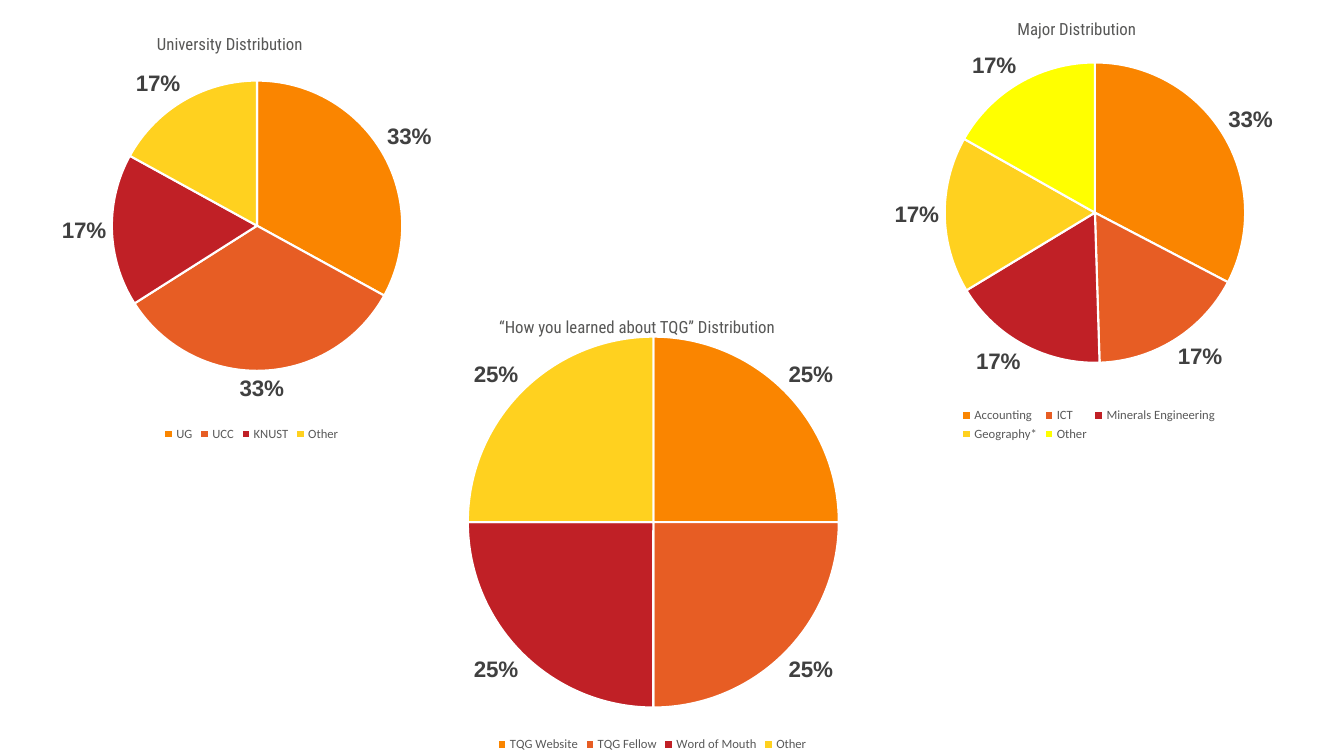
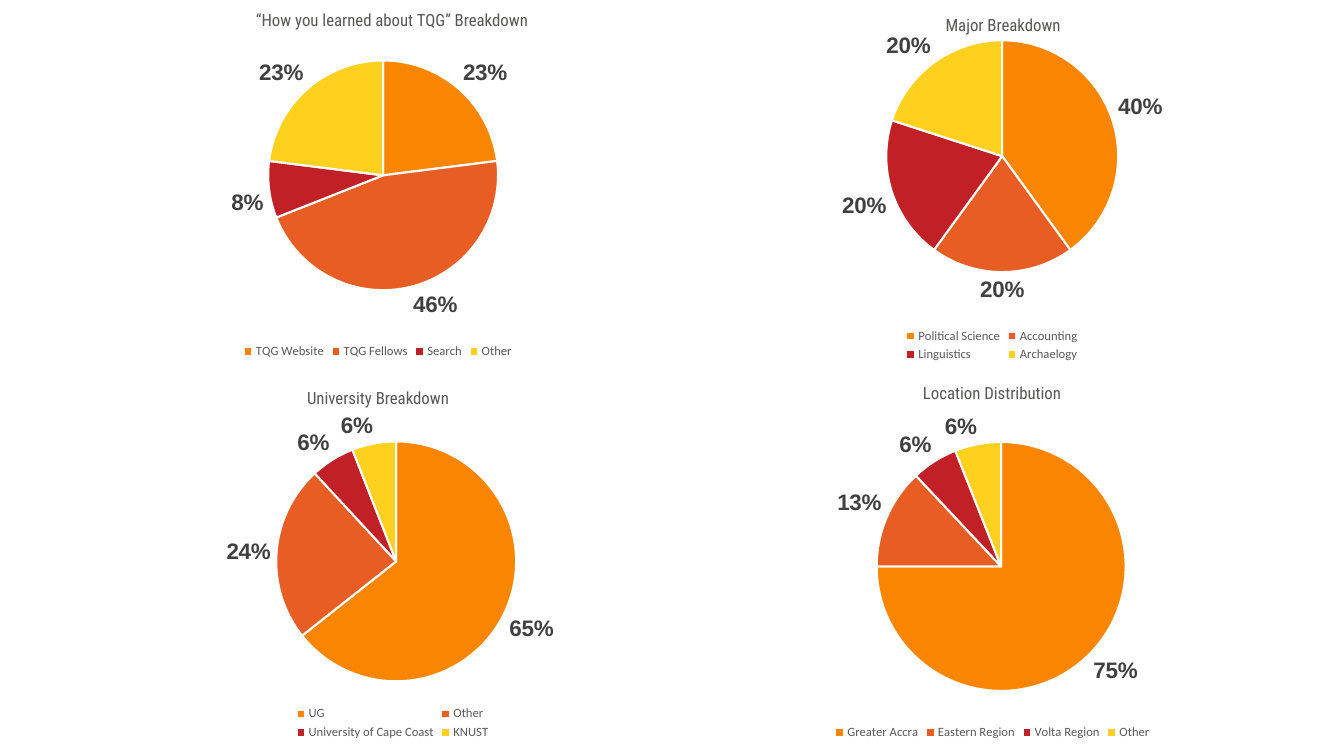
from lxml.etree import SubElement
from pptx import Presentation
from pptx.chart.data import CategoryChartData
from pptx.dml.color import RGBColor
from pptx.enum.chart import XL_CHART_TYPE as ChartType
from pptx.enum.chart import XL_LABEL_POSITION as LabelPosition
from pptx.enum.chart import XL_LEGEND_POSITION as LegendPosition
from pptx.enum.text import MSO_ANCHOR, PP_ALIGN
from pptx.oxml.ns import qn
from pptx.util import Inches, Pt

SLIDE_SIZE = (13.33, 7.5)
SLICE_COLOURS = ["FA8500", "E75D24", "C02026", "FFD11F", "FFFF00"]
TITLE_COLOUR, LABEL_COLOUR, LEGEND_COLOUR = "575756", "404040", "595959"
TITLE_SIZE = (4, 0.36)

# frame: left, top, width, height; pie: centre x, centre y, diameter
SLIDES = [
    [
        {"title": "University Distribution", "title_centre": (2.28, 0.42),
         "frame": (-0.03, 0.47, 5.05, 3.95), "pie": (2.55, 2.24, 2.88),
         "shares": {"UG": 33, "UCC": 33, "KNUST": 17, "Other": 17}},
        {"title": "Major Distribution", "title_centre": (10.68, 0.27),
         "frame": (8.27, 0.29, 5.06, 4.13), "pie": (10.86, 2.11, 2.98),
         "shares": {"Accounting": 33, "ICT": 17, "Minerals Engineering": 17,
                    "Geography*": 17, "Other": 17}},
        {"title": "“How you learned about TQG” Distribution", "title_centre": (6.32, 3.23),
         "frame": (4.12, 3.17, 4.7, 4.33), "pie": (6.48, 5.18, 3.68),
         "shares": {"TQG Website": 25, "TQG Fellow": 25, "Word of Mouth": 25, "Other": 25}},
    ],
    [
        {"title": "University Breakdown", "title_centre": (3.75, 3.93),
         "frame": (1.63, 3.95, 4.53, 3.43), "pie": (3.93, 5.57, 2.38),
         "shares": {"UG": 65, "Other": 24, "University of Cape Coast": 6, "KNUST": 6}},
        {"title": "Location Distribution", "title_centre": (9.84, 3.88),
         "frame": (7.86, 3.95, 3.97, 3.43), "pie": (9.93, 5.62, 2.47),
         "shares": {"Greater Accra": 75, "Eastern Region": 13, "Volta Region": 6, "Other": 6}},
        {"title": "“How you learned about TQG” Breakdown", "title_centre": (3.89, 0.18),
         "frame": (1.14, 0.32, 5.22, 3.28), "pie": (3.8, 1.74, 2.28),
         "shares": {"TQG Website": 23, "TQG Fellows": 46, "Search": 8, "Other": 23}},
        {"title": "Major Breakdown", "title_centre": (9.95, 0.23),
         "frame": (7.92, 0.09, 3.84, 3.54), "pie": (9.94, 1.55, 2.3),
         "shares": {"Political Science": 40, "Accounting": 20, "Linguistics": 20,
                    "Archaelogy": 20}},
    ],
]


def colour(value):
    return RGBColor.from_string(value)


def set_font(font, name, size, value, bold=False):
    font.name, font.size, font.bold = name, Pt(size), bold
    font.color.rgb = colour(value)


def add_title(slide, text, centre):
    width, height = TITLE_SIZE
    left, top = centre[0] - width / 2, centre[1] - height / 2
    box = slide.shapes.add_textbox(*map(Inches, (left, top, width, height)))
    frame = box.text_frame
    frame.word_wrap = True
    frame.vertical_anchor = MSO_ANCHOR.MIDDLE
    frame.margin_top = frame.margin_bottom = 0
    paragraph = frame.paragraphs[0]
    paragraph.text = text
    paragraph.alignment = PP_ALIGN.CENTER
    paragraph.line_spacing = 1.15
    set_font(paragraph.font, "Roboto Condensed", 12, TITLE_COLOUR)


def place_pie(chart, frame, pie):
    """Fix the plot area so that the pie has the given centre and diameter."""
    left, top, width, height = frame
    centre_x, centre_y, diameter = pie
    plot_area = chart.plots[0]._element.getparent()
    for old_layout in plot_area.findall(qn("c:layout")):
        plot_area.remove(old_layout)
    layout = SubElement(plot_area, qn("c:layout"))
    plot_area.insert(0, layout)
    manual = SubElement(layout, qn("c:manualLayout"))
    settings = {
        "layoutTarget": "inner", "xMode": "edge", "yMode": "edge",
        "x": (centre_x - diameter / 2 - left) / width,
        "y": (centre_y - diameter / 2 - top) / height,
        "w": diameter / width, "h": diameter / height,
    }
    for name, value in settings.items():
        SubElement(manual, qn(f"c:{name}")).set("val", str(value))


def add_pie(slide, shares, frame, pie):
    data = CategoryChartData()
    data.categories = list(shares)
    data.add_series("Series 1", list(shares.values()))
    chart = slide.shapes.add_chart(ChartType.PIE, *map(Inches, frame), data).chart
    set_font(chart.font, "Calibri", 10, "000000")
    chart.has_title = False
    chart.has_legend = True
    chart.legend.position = LegendPosition.BOTTOM
    chart.legend.include_in_layout = False
    set_font(chart.legend.font, "Calibri", 9, LEGEND_COLOUR)

    plot = chart.plots[0]
    plot.vary_by_categories = True
    for index, slice_colour in enumerate(SLICE_COLOURS[:len(shares)]):
        slice_format = plot.series[0].points[index].format
        slice_format.fill.solid()
        slice_format.fill.fore_color.rgb = colour(slice_colour)
        slice_format.line.color.rgb = colour("FFFFFF")
        slice_format.line.width = Pt(1.5)

    labels = plot.series[0].data_labels
    labels.show_value = True
    labels.number_format = '0"%"'
    labels.number_format_is_linked = False
    labels.position = LabelPosition.OUTSIDE_END
    set_font(labels.font, "Arial", 16, LABEL_COLOUR, bold=True)
    place_pie(chart, frame, pie)


def main():
    presentation = Presentation()
    presentation.slide_width, presentation.slide_height = map(Inches, SLIDE_SIZE)
    for panels in SLIDES:
        slide = presentation.slides.add_slide(presentation.slide_layouts[6])
        for panel in panels:
            add_title(slide, panel["title"], panel["title_centre"])
            add_pie(slide, panel["shares"], panel["frame"], panel["pie"])
    presentation.save("out.pptx")


if __name__ == "__main__":
    main()
